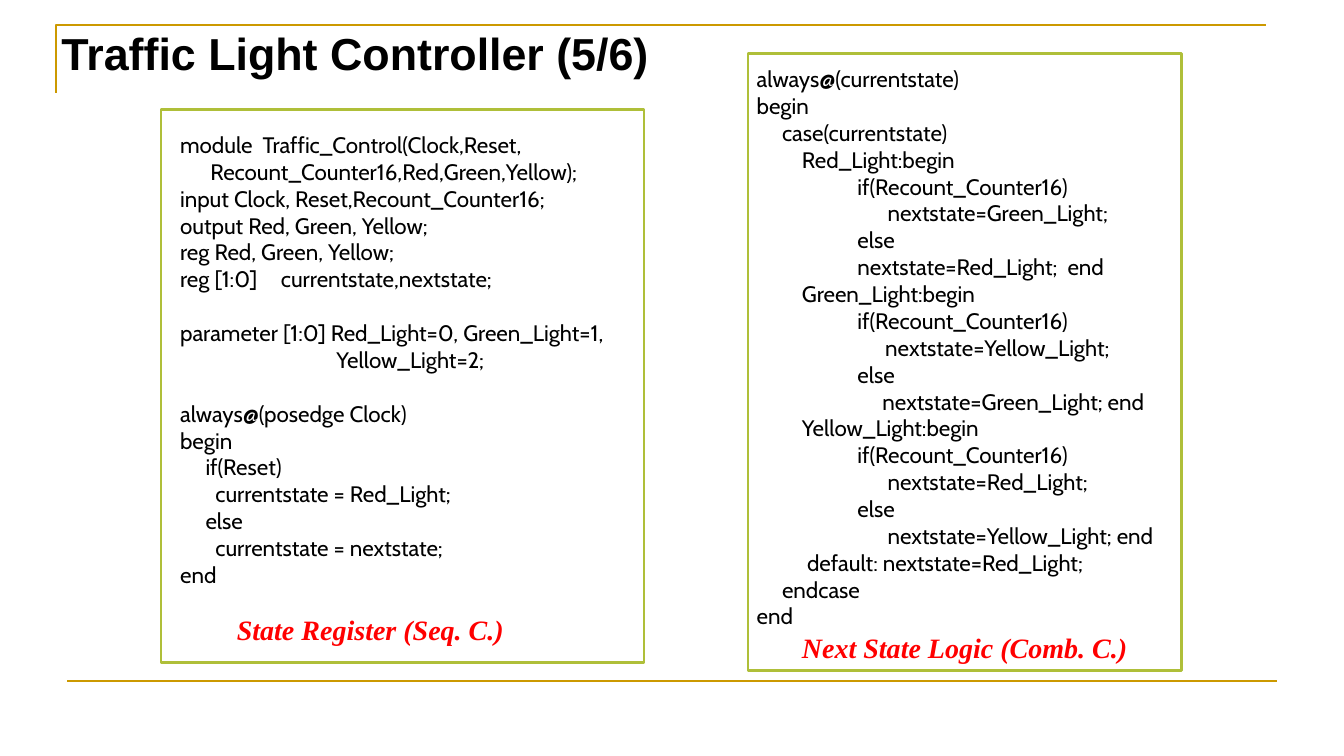
from pptx import Presentation
from pptx.dml.color import RGBColor
from pptx.enum.shapes import MSO_CONNECTOR, MSO_SHAPE
from pptx.enum.text import MSO_ANCHOR
from pptx.oxml.ns import qn
from pptx.util import Cm, Pt
from lxml import etree

STRAIGHT = MSO_CONNECTOR.STRAIGHT
RECTANGLE = MSO_SHAPE.RECTANGLE
TOP, BOTTOM = MSO_ANCHOR.TOP, MSO_ANCHOR.BOTTOM
BLACK = RGBColor(0x00, 0x00, 0x00)
RED = RGBColor(0xFF, 0x00, 0x00)
GOLD = RGBColor(0xCC, 0x99, 0x00)
GREEN = RGBColor(0xAF, 0xBF, 0x39)
BLANK_LINE = Pt(19.2)

STATE_REGISTER = [
    (0, "module  Traffic_Control(Clock,Reset,"),
    (0.76, "Recount_Counter16,Red,Green,Yellow);"),
    (0, "input Clock, Reset,Recount_Counter16;"),
    (0, "output Red, Green, Yellow;"),
    (0, "reg Red, Green, Yellow;"),
    (0, "reg [1:0]\tcurrentstate,nextstate;"),
    (0, "parameter [1:0] Red_Light=0, Green_Light=1,"),
    (3.94, "Yellow_Light=2;"),
    (0, "always@(posedge Clock)"),
    (0, "begin"),
    (0.64, "if(Reset)"),
    (0.89, "currentstate = Red_Light;"),
    (0.64, "else"),
    (0.89, "currentstate = nextstate;"),
    (0, "end"),
]


def light_case(light, granted, waiting, granted_indent, waiting_indent):
    """Return the lines of one branch of the case statement."""
    return [
        (1.14, f"{light}_Light:begin"),
        (2.54, "if(Recount_Counter16)"),
        (granted_indent, f"nextstate={granted}_Light;"),
        (2.54, "else"),
        (waiting_indent, f"nextstate={waiting}_Light;{' ' if light != 'Red' else '  '}end"),
    ]


NEXT_STATE = [
    (0, "always@(currentstate)"),
    (0, "begin"),
    (0.64, "case(currentstate)"),
    *light_case("Red", "Green", "Red", 3.3, 2.54),
    *light_case("Green", "Yellow", "Green", 3.24, 3.17),
    *light_case("Yellow", "Red", "Yellow", 3.3, 3.3),
    (1.27, "default: nextstate=Red_Light;"),
    (0.64, "endcase"),
    (0, "end"),
]


class SlideBuilder:
    """Draw the elements of a code slide in one style."""

    def __init__(self, page):
        self.page = page
        self.rule_width = Pt(1.5)
        self.frame_width = Pt(2)

    def corner(self, left, top, right, bottom):
        builder = self.page.shapes.build_freeform(Cm(left), Cm(bottom))
        builder.add_line_segments(
            [(Cm(left), Cm(top)), (Cm(right), Cm(top))], close=False)
        self.outline(builder.convert_to_shape(), GOLD, self.rule_width)

    def rule(self, left, right, height):
        line = self.page.shapes.add_connector(
            STRAIGHT, Cm(left), Cm(height), Cm(right), Cm(height))
        line.line.color.rgb = GOLD
        line.line.width = self.rule_width
        properties = line._element.find(qn("p:spPr"))
        etree.SubElement(properties, qn("a:effectLst"))

    def frame(self, *area):
        shape = self.page.shapes.add_shape(RECTANGLE, *map(Cm, area))
        self.outline(shape, GREEN, self.frame_width)

    def outline(self, shape, color, width):
        shape.shadow.inherit = False
        shape.fill.background()
        shape.line.color.rgb = color
        shape.line.width = width

    def text(self, lines, area, font, size, color=BLACK, bold=False,
             italic=False, wrap=True, anchor=TOP):
        box = self.page.shapes.add_textbox(*map(Cm, area))
        frame = box.text_frame
        frame.word_wrap = wrap
        frame.vertical_anchor = anchor
        frame.text = "\n".join(line for _, line in lines)
        for para, (indent, line) in zip(frame.paragraphs, lines):
            if indent:
                para._p.get_or_add_pPr().set("marL", str(Cm(indent)))
            for span in para.runs:
                span.font.name = font
                span.font.size = Pt(size)
                span.font.color.rgb = color
                span.font.bold = bold
                span.font.italic = italic
        return frame

    def title(self, wording, *area):
        self.text([(0, wording)], area, "Arial", 32, bold=True, anchor=BOTTOM)

    def caption(self, wording, *area):
        self.text([(0, wording)], area, "Times New Roman", 20, RED,
                  bold=True, italic=True, wrap=False)

    def code(self, lines, *area, gaps_before=()):
        frame = self.text(lines, area, "Cabin", 16)
        for para in frame.paragraphs:
            if para.text.startswith(gaps_before):
                para.space_before = BLANK_LINE


def main():
    deck = Presentation()
    deck.slide_width, deck.slide_height = Cm(33.87), Cm(19.05)
    builder = SlideBuilder(deck.slides.add_slide(deck.slide_layouts[6]))
    builder.corner(1.42, 0.64, 31.9, 2.34)
    builder.rule(1.7, 32.18, 17.15)
    builder.title("Traffic Light Controller (5/6)", 1.3, 0.13, 17.73, 2.01)
    builder.caption("State Register (Seq. C.)", 5.72, 15.32, 7.29, 1.12)
    builder.caption("Next State Logic (Comb. C.)", 19.96, 15.77, 8.79, 1.12)
    builder.code(STATE_REGISTER, 4.29, 3.18, 12.24, 11.89,
                 gaps_before=("parameter", "always"))
    builder.code(NEXT_STATE, 18.82, 1.52, 11.33, 14.63)
    builder.frame(18.85, 1.35, 10.92, 15.54)
    builder.frame(4.06, 2.77, 12.17, 13.92)
    deck.save("out.pptx")


if __name__ == "__main__":
    main()
